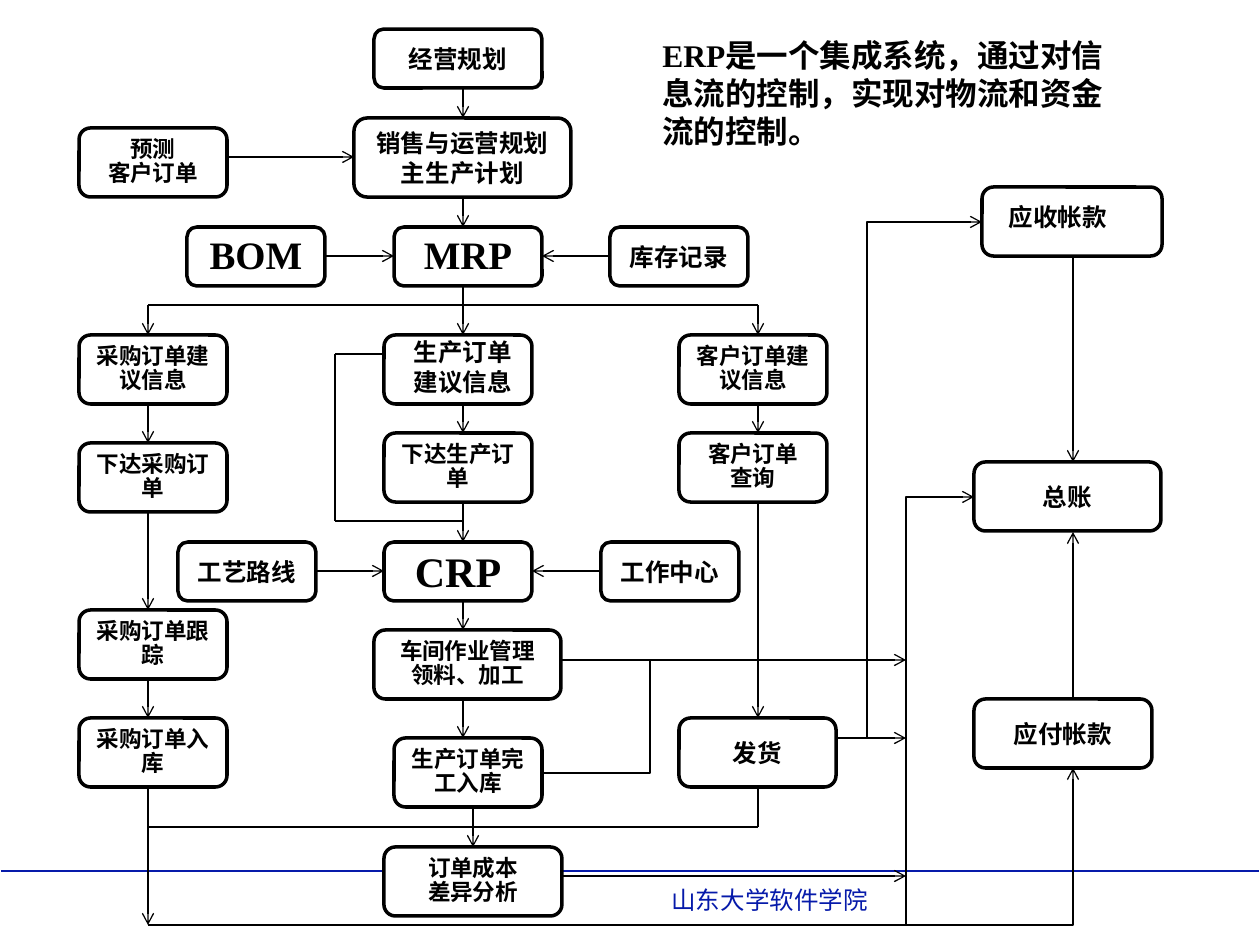
from lxml import etree
from pptx import Presentation
from pptx.dml.color import RGBColor
from pptx.enum.shapes import MSO_CONNECTOR, MSO_SHAPE
from pptx.enum.text import MSO_ANCHOR, PP_ALIGN
from pptx.oxml.ns import qn
from pptx.util import Emu, Pt

ROUNDED = MSO_SHAPE.ROUNDED_RECTANGLE
STRAIGHT = MSO_CONNECTOR.STRAIGHT
LEFT, CENTER = PP_ALIGN.LEFT, PP_ALIGN.CENTER
MIDDLE = MSO_ANCHOR.MIDDLE
BLACK = RGBColor(0x00, 0x00, 0x00)
WHITE = RGBColor(0xFF, 0xFF, 0xFF)
BLUE = RGBColor(0x06, 0x1A, 0xAA)
SERIF, SANS = "Times New Roman", "Arial"
SMALL, NORMAL, LARGE = 12.9, 14, 22.2
TALL, LOW = 69, 59
BUYING, MAKING, SELLING, LEDGER = 148, 463, 758, 1073
BUS = 906

BOXES = [
    (374, 29, 168, LOW, "经营规划", NORMAL),
    (354, 118, 217, 79, "销售与运营规划\n主生产计划", NORMAL),
    (79, 128, 148, TALL, "预测\n客户订单", SMALL),
    (187, 227, 138, LOW, "BOM", LARGE),
    (394, 227, 148, LOW, "MRP", LARGE),
    (610, 227, 138, LOW, "库存记录", NORMAL),
    (79, 335, 148, TALL, "采购订单建议信息", SMALL),
    (79, 443, 148, TALL, "下达采购订单", SMALL),
    (79, 610, 148, TALL, "采购订单跟踪", SMALL),
    (79, 718, 148, TALL, "采购订单入库", SMALL),
    (384, 335, 148, TALL, "", NORMAL),
    (384, 433, 148, TALL, "下达生产订单", SMALL),
    (178, 542, 138, LOW, "工艺路线", NORMAL),
    (384, 542, 148, LOW, "", NORMAL),
    (601, 542, 138, LOW, "工作中心", NORMAL),
    (374, 630, 187, TALL, "车间作业管理\n领料、加工", SMALL),
    (394, 738, 148, TALL, "生产订单完工入库", SMALL),
    (384, 847, 178, TALL, "订单成本\n差异分析", SMALL),
    (679, 335, 148, TALL, "客户订单建议信息", SMALL),
    (679, 433, 148, TALL, "客户订单\n查询", SMALL),
    (679, 718, 157, TALL, "发货", NORMAL),
    (982, 187, 180, TALL, "", NORMAL),
    (974, 462, 187, TALL, "总账", NORMAL),
    (974, 699, 178, TALL, "应付帐款", NORMAL),
]
LABELS = [
    (394, 331, 138, 72, "生产订单建议信息", NORMAL, CENTER),
    (384, 539, 148, 63, "CRP", 24, CENTER),
    (974, 196, 168, 43, "应收帐款", NORMAL, CENTER),
    (650, 30, 493, 126, "ERP是一个集成系统，通过对信息流的控制，实现对物流和资金流的控制。", 18, LEFT),
]
DOWN_ARROWS = [
    (BUYING, [(305, 335), (404, 443), (512, 610), (679, 718), (787, 925)]),
    (MAKING, [(88, 118), (197, 227), (286, 335), (404, 433), (502, 542),
              (601, 630), (699, 738)]),
    (473, [(807, 847)]),
    (SELLING, [(305, 335), (404, 433), (502, 718)]),
    (LEDGER, [(256, 462), (699, 532)]),
]
SIDE_ARROWS = [
    (157, 227, 354), (256, 325, 394), (256, 610, 542), (571, 316, 384),
    (571, 601, 532), (660, 561, BUS), (738, 837, BUS), (876, 561, BUS),
]
PLAIN_LINES = [
    (BUYING, 305, SELLING, 305), (BUYING, 827, SELLING, 827),
    (SELLING, 787, SELLING, 827), (335, 354, 335, 521),
    (335, 354, 384, 354), (335, 521, MAKING, 521),
]
ELBOWS = [
    (BUYING, 925, LEDGER, 768, "a:tailEnd"),
    (542, 773, 650, 660, None),
    (982, 222, 867, 738, "a:headEnd"),
    (974, 497, BUS, 925, "a:headEnd"),
]


def px(n):
    """Convert pixels to EMU."""
    return Emu(round(n * 914400 / 126))


def write(tf, text, size, align, color=BLACK, font=SERIF, bold=True):
    """Fill a text frame and format its paragraphs."""
    tf.word_wrap = True
    tf.text = text
    for p in tf.paragraphs:
        p.alignment = align
        if size in (SMALL, LARGE):
            p.line_spacing = 0.9
        for r in p.runs:
            r.font.size = Pt(size)
            r.font.name = font
            r.font.bold = bold
            r.font.color.rgb = color


def add_box(s, x, y, w, h, text, size):
    """Add a rounded process box."""
    sp = s.shapes.add_shape(ROUNDED, px(x), px(y), px(w), px(h))
    sp.shadow.inherit = False
    sp.fill.solid()
    sp.fill.fore_color.rgb = WHITE
    sp.line.color.rgb = BLACK
    sp.line.width = Pt(2)
    if text:
        sp.text_frame.vertical_anchor = MIDDLE
        write(sp.text_frame, text, size, CENTER)


def add_label(s, x, y, w, h, text, size, align, **style):
    """Add a text box."""
    tb = s.shapes.add_textbox(px(x), px(y), px(w), px(h))
    write(tb.text_frame, text, size, align, **style)


def add_line(s, x1, y1, x2, y2, arrow=None, color=BLACK, width=0.75):
    """Add a straight line with an optional arrowhead."""
    c = s.shapes.add_connector(STRAIGHT, px(x1), px(y1), px(x2), px(y2))
    c.line.color.rgb = color
    c.line.width = Pt(width)
    if arrow:
        etree.SubElement(c.line._get_or_add_ln(), qn(arrow), type="arrow")
    etree.SubElement(c._element.spPr, qn("a:effectLst"))
    return c


def add_elbow(s, x1, y1, x2, y2, arrow):
    """Add a one-bend connector that leaves its start horizontally."""
    c = add_line(s, x1, y1, x2, y2, arrow)
    c._element.spPr.find(qn("a:prstGeom")).set("prst", "bentConnector2")


def main():
    """Build the ERP flow slide."""
    prs = Presentation()
    prs.slide_width, prs.slide_height = px(1260), px(945)
    s = prs.slides.add_slide(prs.slide_layouts[6])
    add_line(s, 1, 871, 1259, 871, color=BLUE, width=1)
    add_label(s, 659, 879, 546, 43, "山东大学软件学院", NORMAL, LEFT,
              color=BLUE, font=SANS, bold=False)
    for box in BOXES:
        add_box(s, *box)
    for label in LABELS:
        add_label(s, *label)
    for x, spans in DOWN_ARROWS:
        for top, bottom in spans:
            add_line(s, x, top, x, bottom, "a:tailEnd")
    for y, start, end in SIDE_ARROWS:
        add_line(s, start, y, end, y, "a:tailEnd")
    for line in PLAIN_LINES:
        add_line(s, *line)
    for elbow in ELBOWS:
        add_elbow(s, *elbow)
    prs.save("out.pptx")


if __name__ == "__main__":
    main()
